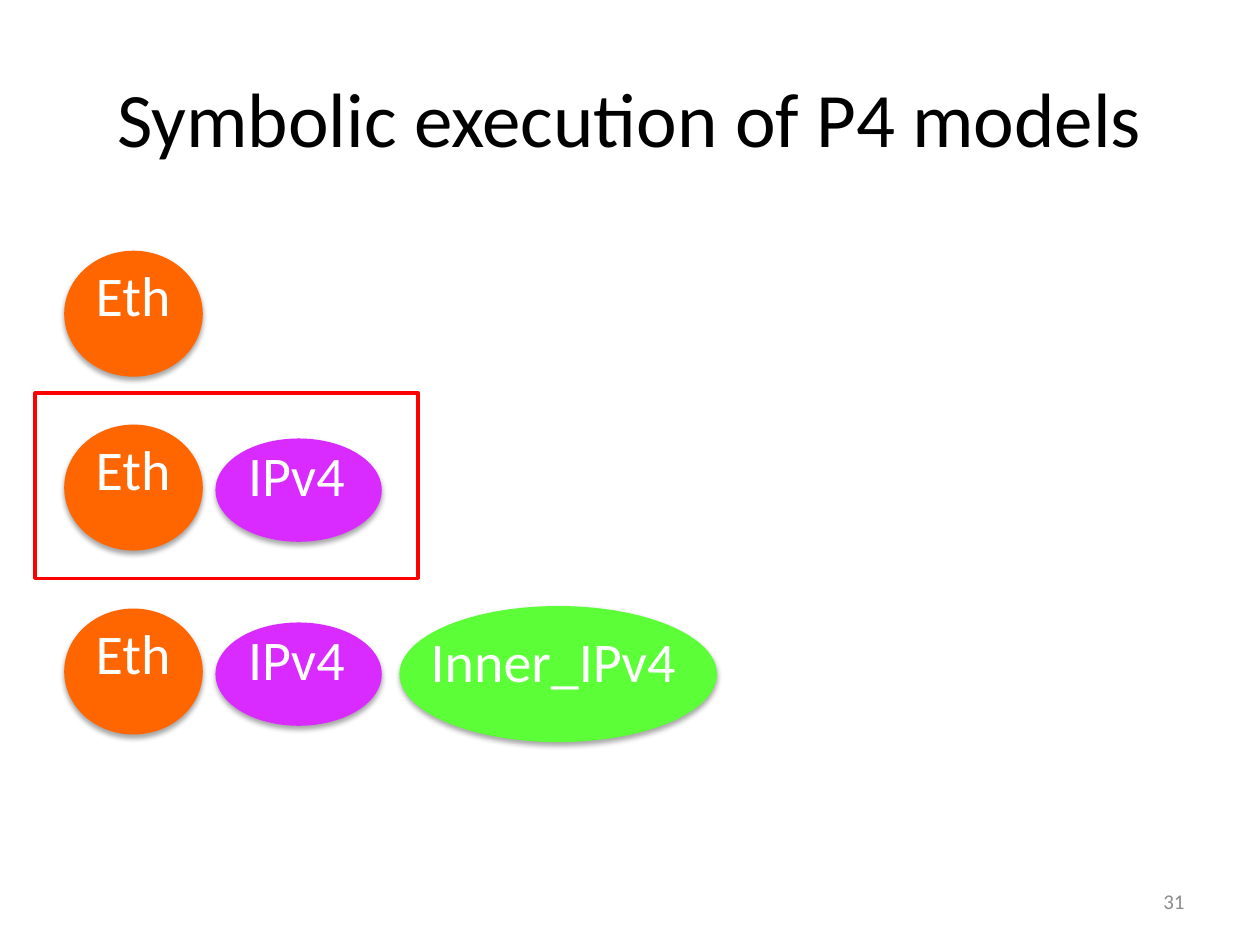
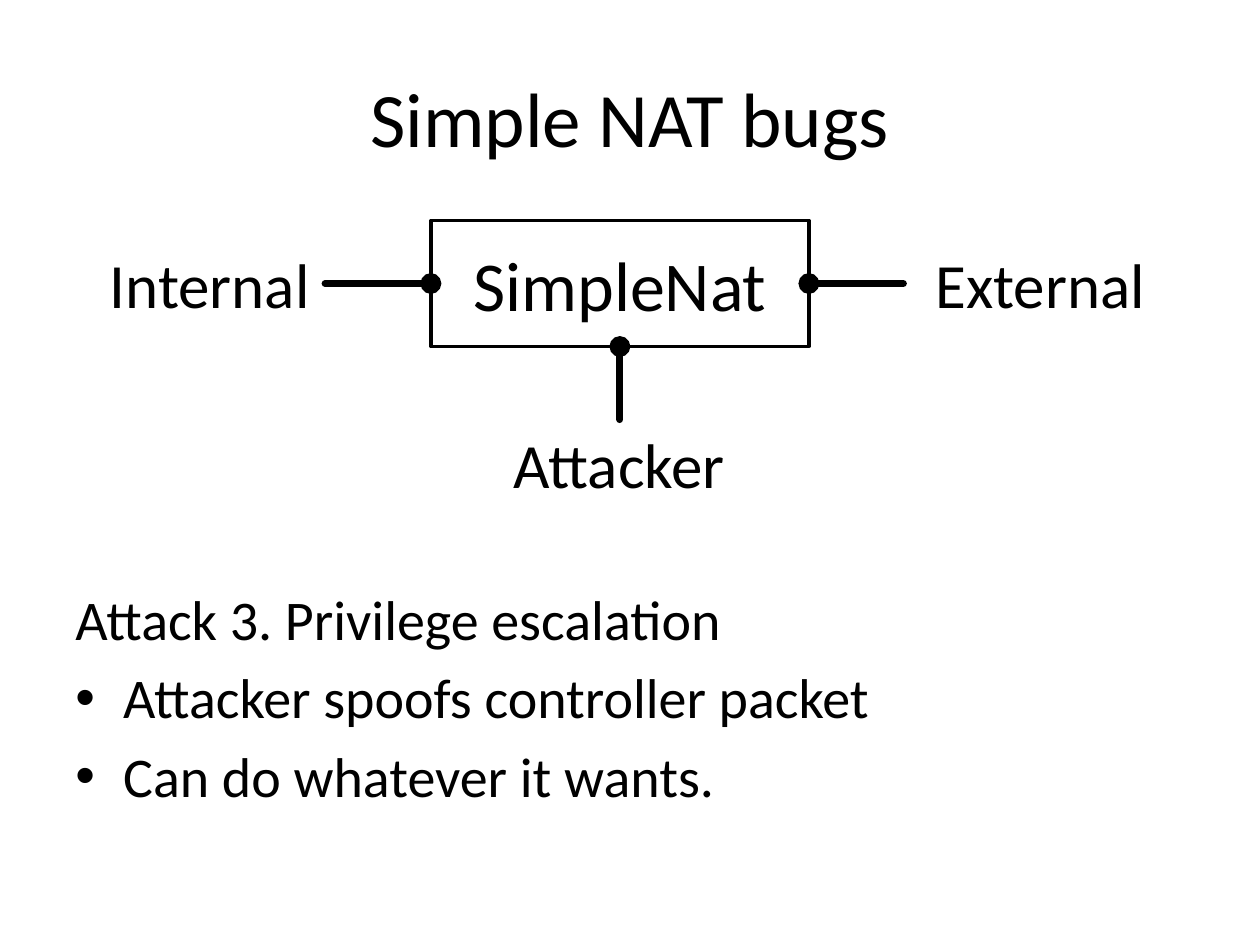
import pptx
import pptx.util
import pptx.dml.color
import pptx.enum.shapes
import pptx.enum.text
import pptx.oxml
import pptx.oxml.ns

Inches, Pt = pptx.util.Inches, pptx.util.Pt
SHAPE = pptx.enum.shapes.MSO_SHAPE
ALIGN = pptx.enum.text.PP_ALIGN
ANCHOR = pptx.enum.text.MSO_ANCHOR
qn = pptx.oxml.ns.qn

FONT = "Calibri"
COLORS = {"black": "000000", "white": "FFFFFF", "gray": "8C8C8C", "red": "FF0000",
          "orange": "FF6600", "purple": "D92AFF", "green": "5CFF37"}

# Content of the header slide
HEADERS_TITLE = "Symbolic execution of P4 models"
PAGE_NUMBER = "31"
# name: (colour, left, drop from the row top, width, height, label offset x, y, label width)
HEADERS = {
    "Eth": ("orange", 0.51, 0, 1.1, 1, 0.15, 0.03, 0.81),
    "IPv4": ("purple", 1.71, 0.11, 1.32, 0.82, 0.16, -0.03, 0.98),
    "Inner_IPv4": ("green", 3.17, -0.02, 2.52, 1.08, 0.15, 0.11, 2.16),
}
PACKETS = [
    (1.99, ["Eth"]),
    (3.37, ["Eth", "IPv4"]),
    (4.83, ["Eth", "IPv4", "Inner_IPv4"]),
]
HIGHLIGHT = (0.28, 3.12, 3.04, 1.47)

# Content of the NAT slide
NAT_TITLE = "Simple NAT bugs"
NAT_BOX = ("SimpleNat", (3.42, 1.75, 3, 1))
# label, label box, wire start, wire end on the box
PORTS = [
    ("Internal", (0.75, 1.9, 1.83, 0.71), (2.58, 2.25), (3.42, 2.25)),
    ("External", (7.17, 1.9, 2.17, 0.71), (7.17, 2.25), (6.42, 2.25)),
    ("Attacker", (3.83, 3.33, 2.17, 0.71), (4.92, 3.33), (4.92, 2.75)),
]
ATTACK = "Attack 3. Privilege escalation"
ATTACK_POINTS = ["Attacker spoofs controller packet", "Can do whatever it wants."]


def rgb(name):
    return pptx.dml.color.RGBColor.from_string(COLORS[name])


def inches(values):
    return [Inches(value) for value in values]


def format_paragraph(paragraph, size, color="black", align=ALIGN.LEFT):
    paragraph.alignment = align
    paragraph.font.name = FONT
    paragraph.font.size = Pt(size)
    paragraph.font.color.rgb = rgb(color)


def add_text(shapes, box, lines, size, color="black", align=ALIGN.LEFT,
             anchor=ANCHOR.TOP, wrap=True):
    frame = shapes.add_textbox(*inches(box)).text_frame
    frame.word_wrap = wrap
    frame.vertical_anchor = anchor
    frame.text = "\n".join(lines)
    for paragraph in frame.paragraphs:
        format_paragraph(paragraph, size, color, align)
    return frame


def add_shape(shapes, kind, box, fill=None, line=None):
    shape = shapes.add_shape(kind, *inches(box))
    shape.shadow.inherit = False
    if fill:
        shape.fill.solid()
        shape.fill.fore_color.rgb = rgb(fill)
    else:
        shape.fill.background()
    if line:
        shape.line.color.rgb = rgb(line)
        shape.line.width = Pt(2)
    else:
        shape.line.fill.background()
    return shape


def add_soft_shadow(shape):
    effects = shape._element.spPr.find(qn("a:effectLst"))
    effects.append(pptx.oxml.parse_xml(
        f'<a:outerShdw {pptx.oxml.ns.nsdecls("a")} blurRad="{Pt(3.1)}" dist="{Pt(1.8)}" '
        'dir="5400000" rotWithShape="0"><a:srgbClr val="000000">'
        '<a:alpha val="35000"/></a:srgbClr></a:outerShdw>'))


def add_header(slide, name, row_top):
    color, left, drop, width, height, label_x, label_y, label_width = HEADERS[name]
    top = row_top + drop
    group = slide.shapes.add_group_shape()
    bubble = add_shape(group.shapes, SHAPE.FLOWCHART_CONNECTOR,
                       (left, top, width, height), fill=color)
    add_soft_shadow(bubble)
    add_text(group.shapes, (left + label_x, top + label_y, label_width, 0.64),
             [name], 32, "white", wrap=False)


def add_wire(slide, start, end):
    wire = slide.shapes.add_connector(pptx.enum.shapes.MSO_CONNECTOR.STRAIGHT,
                                      *inches(start + end))
    wire.line.color.rgb = rgb("black")
    wire.line.width = Pt(4)
    line = wire.line._get_or_add_ln()
    line.set("cap", "rnd")
    line.append(line.makeelement(qn("a:tailEnd"), {"type": "oval"}))
    properties = wire._element.spPr
    properties.append(properties.makeelement(qn("a:effectLst"), {}))


def add_bullet(paragraph):
    properties = paragraph._p.get_or_add_pPr()
    properties.set("marL", str(Inches(0.38)))
    properties.set("indent", str(-Inches(0.38)))
    properties.append(properties.makeelement(qn("a:buFont"), {"typeface": "Arial"}))
    properties.append(properties.makeelement(qn("a:buChar"), {"char": "•"}))
    # Default run properties come last in the paragraph properties
    properties.append(properties.find(qn("a:defRPr")))


def add_slide(presentation, title):
    slide = presentation.slides.add_slide(presentation.slide_layouts[5])
    shape = slide.shapes.title
    shape.left, shape.top, shape.width, shape.height = inches((0.5, 0.3, 9, 1.25))
    shape.text_frame.text = title
    shape.text_frame.vertical_anchor = ANCHOR.MIDDLE
    format_paragraph(shape.text_frame.paragraphs[0], 44, align=ALIGN.CENTER)
    return slide


def build_headers_slide(presentation):
    slide = add_slide(presentation, HEADERS_TITLE)
    for row_top, names in PACKETS:
        for name in names:
            add_header(slide, name, row_top)
    add_shape(slide.shapes, SHAPE.RECTANGLE, HIGHLIGHT, line="red")
    add_text(slide.shapes, (7.17, 6.95, 2.33, 0.4), [PAGE_NUMBER], 12, "gray",
             ALIGN.RIGHT, ANCHOR.MIDDLE)


def build_nat_slide(presentation):
    slide = add_slide(presentation, NAT_TITLE)

    # Attack description
    frame = add_text(slide.shapes, (0.5, 4.59, 9, 2.66), [ATTACK] + ATTACK_POINTS, 32)
    for paragraph in frame.paragraphs:
        paragraph.space_before = Pt(6.4)
    for paragraph in frame.paragraphs[1:]:
        add_bullet(paragraph)

    # NAT box with its three ports
    name, box = NAT_BOX
    nat = add_shape(slide.shapes, SHAPE.RECTANGLE, box, "white", "black")
    nat.text_frame.text = name
    nat.text_frame.vertical_anchor = ANCHOR.MIDDLE
    format_paragraph(nat.text_frame.paragraphs[0], 40, align=ALIGN.CENTER)
    for label, label_box, start, end in PORTS:
        add_text(slide.shapes, label_box, [label], 36, align=ALIGN.CENTER)
        add_wire(slide, start, end)


def main():
    presentation = pptx.Presentation()
    presentation.slide_width, presentation.slide_height = inches((10, 7.5))
    build_headers_slide(presentation)
    build_nat_slide(presentation)
    presentation.save("out.pptx")


if __name__ == "__main__":
    main()
